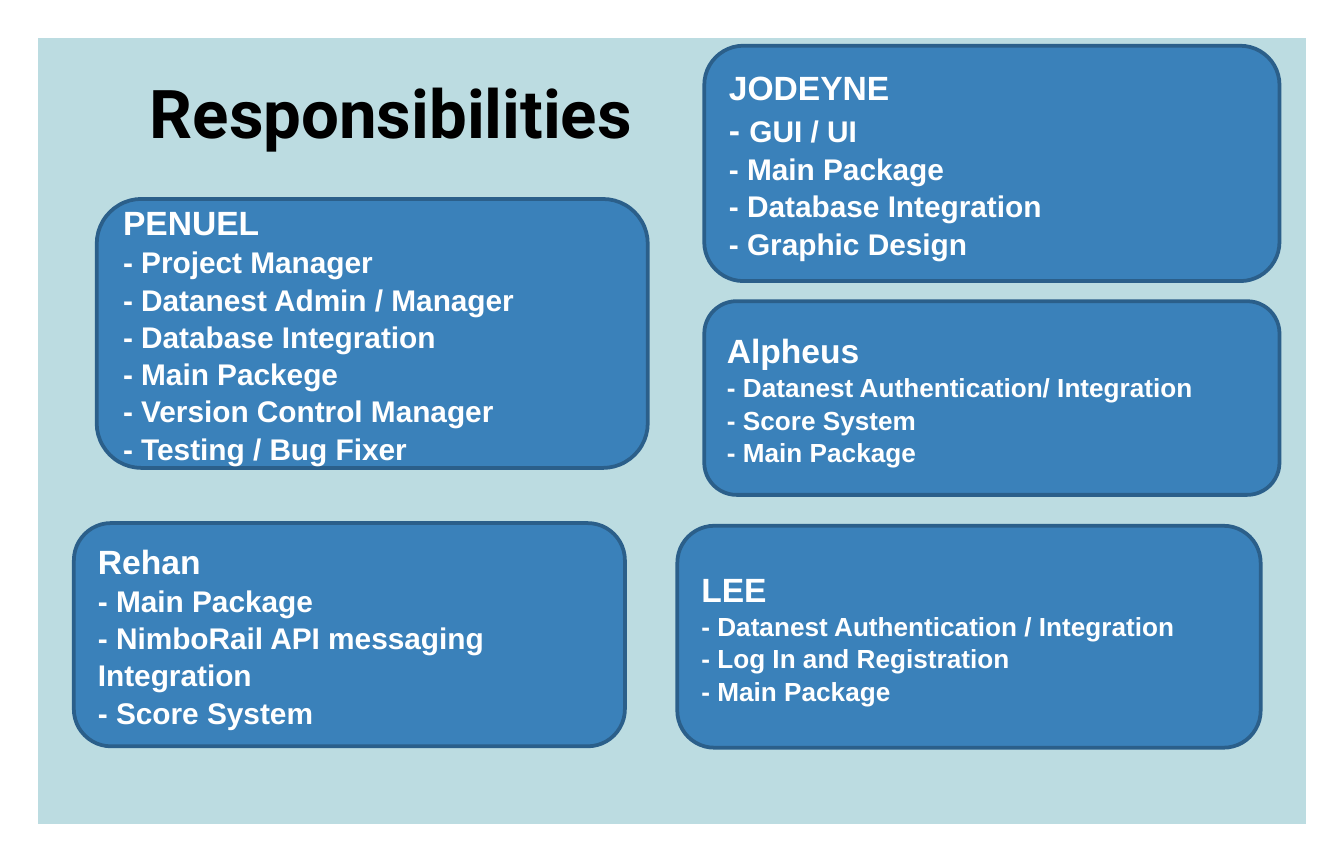
from pptx import Presentation
from pptx.dml.color import RGBColor
from pptx.enum.shapes import MSO_SHAPE
from pptx.enum.text import MSO_ANCHOR, MSO_AUTO_SIZE, PP_ALIGN
from pptx.util import Inches, Pt

ROUNDED, FRAME = MSO_SHAPE.ROUNDED_RECTANGLE, MSO_SHAPE.FRAME
LEFT, CENTER = PP_ALIGN.LEFT, PP_ALIGN.CENTER
MIDDLE = MSO_ANCHOR.MIDDLE
NO_AUTOFIT = MSO_AUTO_SIZE.NONE

PALE_TEAL = RGBColor(0xBC, 0xDC, 0xE1)
BLUE = RGBColor(0x3A, 0x81, 0xBA)
DARK_BLUE = RGBColor(0x2B, 0x5F, 0x8A)
WHITE = RGBColor(0xFF, 0xFF, 0xFF)
BLACK = RGBColor(0x00, 0x00, 0x00)

CELL = 0.1  # inches per grid column and row
COLUMNS, ROWS = 100, 64.1
TITLE_ONLY = 5

TITLE_FONT = {"name": "Roboto", "size": Pt(36), "bold": True}
NAME_FONT = {"name": "Arial", "size": Pt(18), "bold": True}


def set_attributes(target, values):
    for name, value in values.items():
        setattr(target, name, value)


class ResponsibilitySlide:
    """Holds the slide and the style of its elements."""

    def __init__(self, presentation):
        self.slide = presentation.slides.add_slide(
            presentation.slide_layouts[TITLE_ONLY])
        background = self.slide.background.fill
        background.solid()
        background.fore_color.rgb = PALE_TEAL

    def box(self, column, row, columns, rows):
        return [Inches(cells * CELL) for cells in (column, row, columns, rows)]

    def add_run(self, paragraph, text, font, color):
        run = paragraph.add_run()
        run.text = text
        set_attributes(run.font, font)
        run.font.color.rgb = color

    def add_shape(self, kind, area, color):
        shape = self.slide.shapes.add_shape(kind, *self.box(*area))
        shape.shadow.inherit = False
        shape.fill.solid()
        shape.fill.fore_color.rgb = color
        return shape

    def add_title(self, text, area):
        title = self.slide.shapes.title
        places = ("left", "top", "width", "height")
        set_attributes(title, dict(zip(places, self.box(*area))))
        frame = title.text_frame
        set_attributes(frame, {"vertical_anchor": MIDDLE, "word_wrap": True,
                               "auto_size": NO_AUTOFIT})
        paragraph = frame.paragraphs[0]
        paragraph.alignment = CENTER
        self.add_run(paragraph, text, TITLE_FONT, BLACK)

    def add_border(self, thickness):
        border = self.add_shape(FRAME, (0, 0, COLUMNS, ROWS), WHITE)
        border.adjustments[0] = thickness
        border.line.fill.background()
        # The border lies behind the title
        self.slide.shapes.title.element.addprevious(border.element)

    def add_card(self, area, name, tasks, size, first_dash_size=None):
        card = self.add_shape(ROUNDED, area, BLUE)
        card.line.color.rgb = DARK_BLUE
        card.line.width = Pt(2)
        frame = card.text_frame
        set_attributes(frame, {"vertical_anchor": MIDDLE, "word_wrap": True})
        task_font = {**NAME_FONT, "size": Pt(size)}
        dash_font = {**NAME_FONT, "size": Pt(first_dash_size or size)}

        heading = frame.paragraphs[0]
        self.add_run(heading, name, NAME_FONT, WHITE)
        for index, task in enumerate(tasks):
            paragraph = frame.add_paragraph()
            self.add_run(paragraph, "- ", task_font if index else dash_font, WHITE)
            self.add_run(paragraph, task, task_font, WHITE)
        for paragraph in frame.paragraphs:
            set_attributes(paragraph, {"alignment": LEFT, "line_spacing": 1.04})


def main():
    presentation = Presentation()
    presentation.slide_width = Inches(COLUMNS * CELL)
    presentation.slide_height = Inches(ROWS * CELL)

    # Border and title
    page = ResponsibilitySlide(presentation)
    page.add_border(0.044)
    page.add_title("Responsibilities", (7.2, 4.8, 43.8, 7))

    # One card per team member
    page.add_card((5.5, 38.9, 41, 16.6), "Rehan", [
        "Main Package", "NimboRail API messaging Integration",
        "Score System"], 16)
    page.add_card((52.4, 22.4, 42.8, 14.4), "Alpheus", [
        "Datanest Authentication/ Integration", "Score System",
        "Main Package"], 14)
    page.add_card((52.4, 3.4, 42.8, 17.5), "JODEYNE", [
        "GUI / UI", "Main Package", "Database Integration",
        "Graphic Design"], 16, first_dash_size=18)
    page.add_card((7.2, 14.8, 41, 20), "PENUEL", [
        "Project Manager", "Datanest Admin / Manager",
        "Database Integration", "Main Packege", "Version Control Manager",
        "Testing / Bug Fixer"], 16)
    page.add_card((50.4, 39.1, 43.4, 16.5), "LEE", [
        "Datanest Authentication / Integration", "Log In and Registration",
        "Main Package"], 14)

    presentation.save("out.pptx")


if __name__ == "__main__":
    main()
